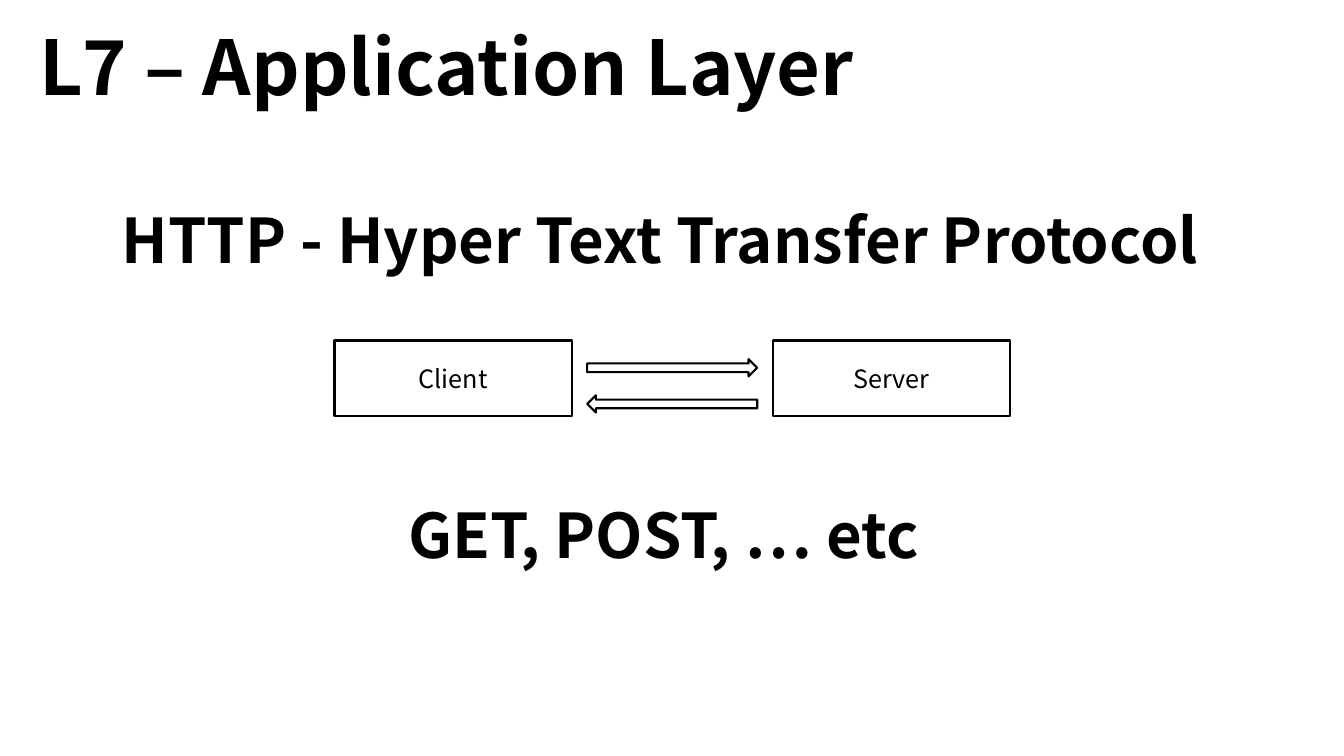
"""Build the application layer slide: HTTP between a client and a server."""
import dataclasses

import pptx
import pptx.dml.color
import pptx.enum.shapes
import pptx.enum.text
import pptx.util

Pt = pptx.util.Pt
RGB = pptx.dml.color.RGBColor
SHAPE = pptx.enum.shapes.MSO_SHAPE
TEXT = pptx.enum.text


@dataclasses.dataclass(frozen=True)
class Theme:
    """Hold the colours, font and sizes of the slide."""
    ink: RGB = RGB(0, 0, 0)
    paper: RGB = RGB(255, 255, 255)
    font: str = "Noto Sans CJK KR"
    title: float = 54
    heading: float = 44
    label: float = 18
    line: float = 1.5


class Deck:
    """Draw elements on the current slide in one theme."""

    def __init__(self, prs, theme):
        """Add a blank slide with the theme's background."""
        self.theme = theme
        self.s = prs.slides.add_slide(prs.slide_layouts[6])
        fill = self.s.background.fill
        fill.solid()
        fill.fore_color.rgb = theme.paper

    def add_text(self, tf, text, size, bold, frame):
        """Add one styled run and apply the frame's format values."""
        for name, value in frame.items():
            setattr(tf, name, value)
        p = tf.paragraphs[0]
        r = p.add_run()
        r.text = text
        style = {"name": self.theme.font, "size": Pt(size), "bold": bold}
        for name, value in style.items():
            setattr(r.font, name, value)
        r.font.color.rgb = self.theme.ink
        return p

    def heading(self, text, size, box):
        """Add a bold line of text."""
        sp = self.s.shapes.add_textbox(*map(Pt, box))
        self.add_text(sp.text_frame, text, size, True, {
            "word_wrap": True,
            "auto_size": TEXT.MSO_AUTO_SIZE.SHAPE_TO_FIT_TEXT,
        })

    def outline(self, kind, box):
        """Add a preset shape with a plain outline."""
        sp = self.s.shapes.add_shape(kind, *map(Pt, box))
        sp.shadow.inherit = False
        sp.fill.solid()
        sp.fill.fore_color.rgb = self.theme.paper
        sp.line.color.rgb = self.theme.ink
        sp.line.width = Pt(self.theme.line)
        return sp

    def node(self, text, box):
        """Add a labelled rectangle."""
        sp = self.outline(SHAPE.RECTANGLE, box)
        p = self.add_text(sp.text_frame, text, self.theme.label, False, {
            "word_wrap": True,
            "vertical_anchor": TEXT.MSO_ANCHOR.MIDDLE,
        })
        p.alignment = TEXT.PP_ALIGN.CENTER

    def arrow(self, box, rotation):
        """Add a block arrow turned by the rotation."""
        self.outline(SHAPE.RIGHT_ARROW, box).rotation = rotation


def main():
    """Build and save the slide."""
    prs = pptx.Presentation()
    prs.slide_width, prs.slide_height = Pt(960), Pt(540)
    theme = Theme()
    deck = Deck(prs, theme)

    deck.heading("L7 – Application Layer", theme.title, (20.9, 10.8, 603.4, 72.7))
    deck.heading("HTTP - Hyper Text Transfer Protocol", theme.heading,
                 (79.9, 140.4, 799.9, 60.5))

    left, top, width, height, pitch = 239, 243.2, 169.5, 54.2, 313
    for i, name in enumerate(("Client", "Server")):
        deck.node(name, (left + i * pitch, top, width, height))

    gap, length = 10.9, 121.5
    for i, rotation in enumerate((0, 180)):
        deck.arrow((left + width + gap, 256.5 + i * 25.8, length, 12.4), rotation)

    deck.heading("GET, POST, … etc", theme.heading, (284.4, 351.4, 391, 60.5))
    prs.save("out.pptx")


if __name__ == "__main__":
    main()
